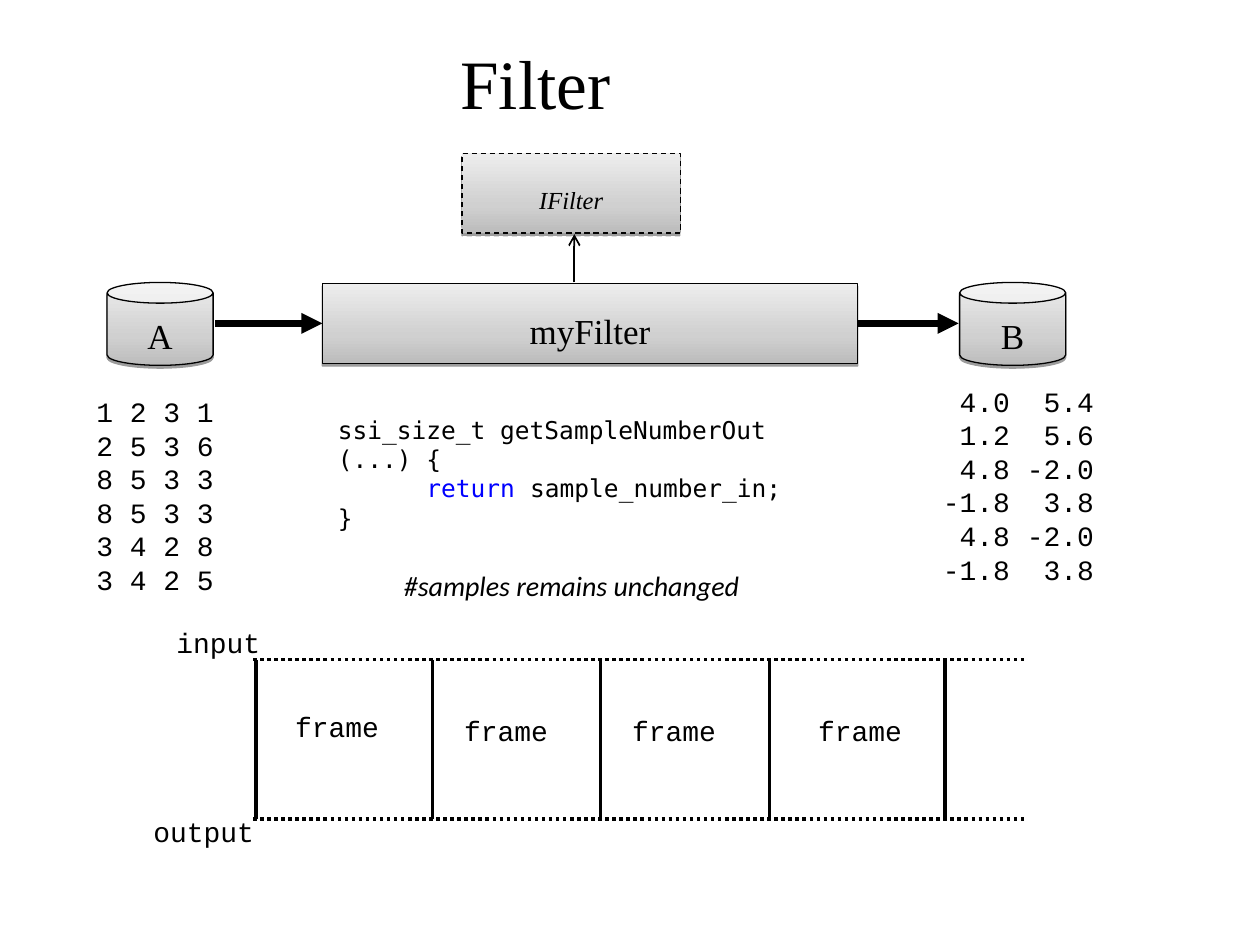
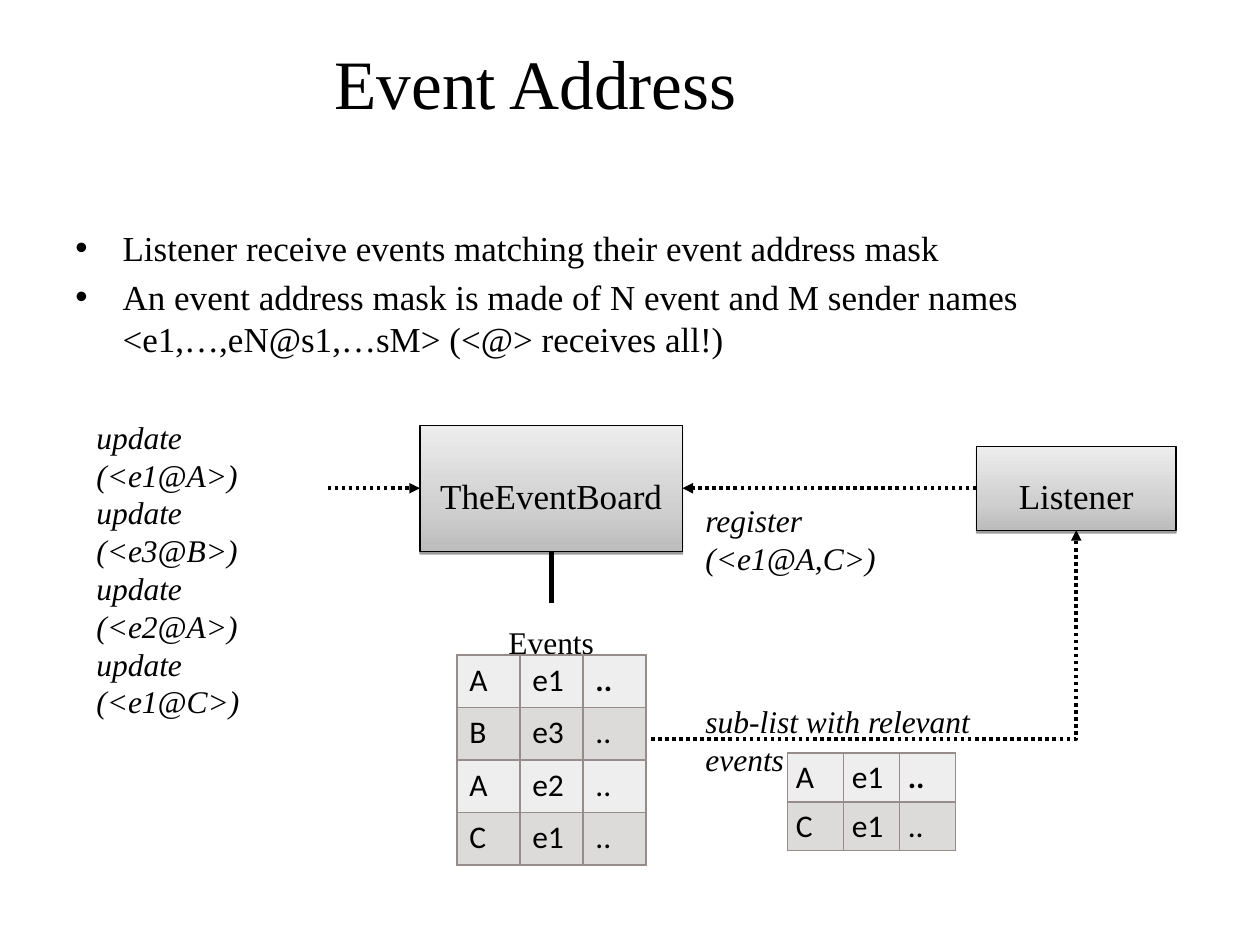
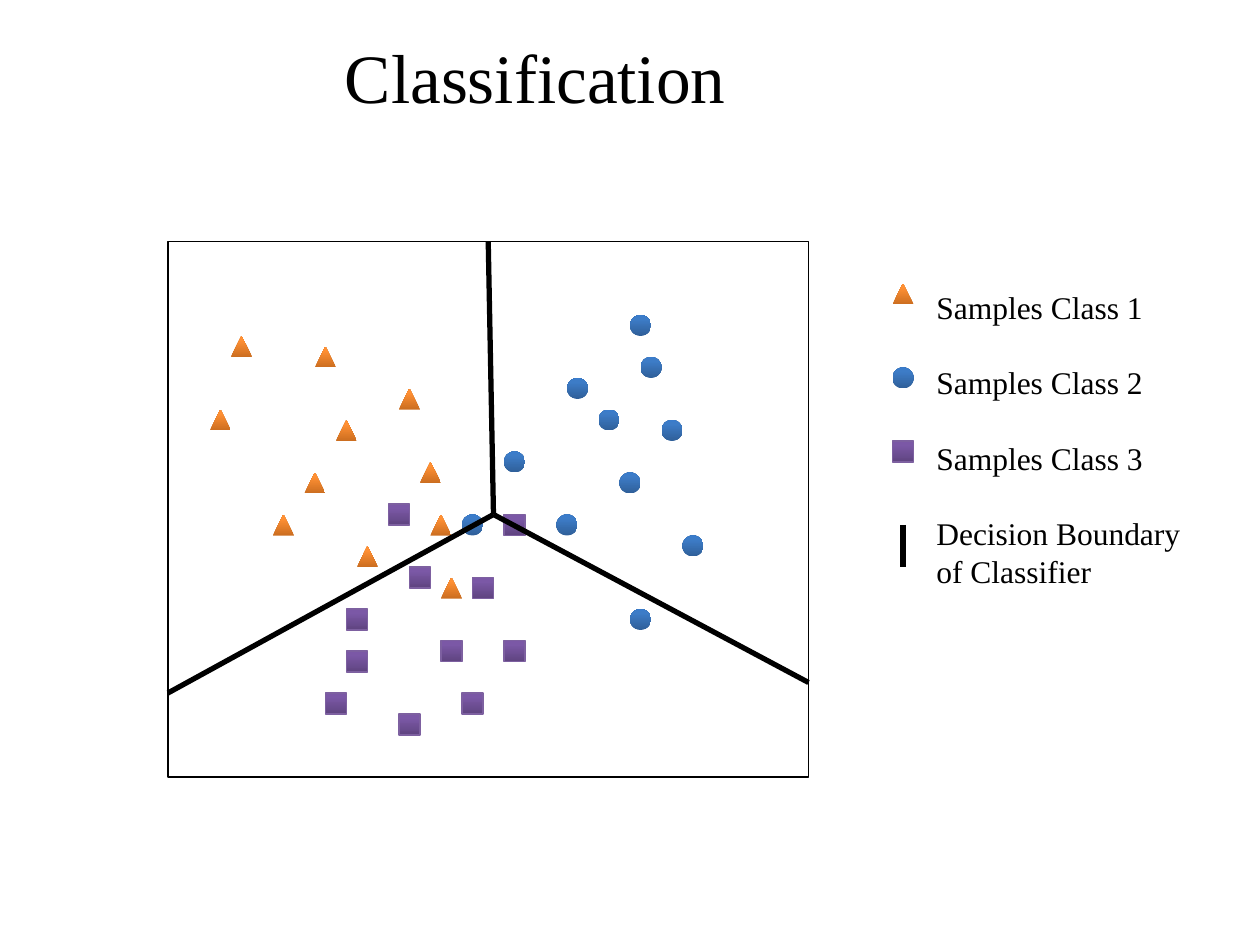
"""Builds three slides on filters, event addresses and classification."""
from copy import deepcopy
from dataclasses import dataclass
from typing import NamedTuple, Optional, Sequence

from lxml import etree
from pptx import Presentation
from pptx.dml.color import RGBColor
from pptx.enum.dml import MSO_LINE
from pptx.enum.shapes import MSO_CONNECTOR, MSO_SHAPE
from pptx.enum.text import MSO_ANCHOR, MSO_AUTO_SIZE, PP_ALIGN
from pptx.oxml.ns import qn
from pptx.util import Emu, Pt

PX = 7620
BLACK = RGBColor(0x00, 0x00, 0x00)
KEYWORD_BLUE = RGBColor(0x00, 0x00, 0xFF)
GRID_GREY = RGBColor(0x96, 0x8C, 0x8C)
ROW_FILLS = (RGBColor(0xEF, 0xEE, 0xEE), RGBColor(0xDD, 0xDA, 0xDA))
PURPLE_EDGE = RGBColor(0x7D, 0x60, 0xA0)

RECTANGLE, CAN = MSO_SHAPE.RECTANGLE, MSO_SHAPE.CAN
TRIANGLE, OVAL = MSO_SHAPE.ISOSCELES_TRIANGLE, MSO_SHAPE.OVAL
ROUNDED = MSO_SHAPE.ROUNDED_RECTANGLE
STRAIGHT, ELBOW = MSO_CONNECTOR.STRAIGHT, MSO_CONNECTOR.ELBOW
DOTTED, DASHED = MSO_LINE.ROUND_DOT, MSO_LINE.DASH
LEFT, CENTER = PP_ALIGN.LEFT, PP_ALIGN.CENTER
TOP, MIDDLE = MSO_ANCHOR.TOP, MSO_ANCHOR.MIDDLE
FIXED = MSO_AUTO_SIZE.NONE
SIDE_TOP, SIDE_LEFT, SIDE_BOTTOM, SIDE_RIGHT = range(4)

LINE_HEIGHT = 1.2
PLAIN_INSETS = (12, 6, 12, 6)
LOW_INSETS = (12, 19, 12, 6)
TIGHT_INSETS = (8, 5, 8, 5)
MARKER_SIZE = 20


class Box(NamedTuple):
    left: int
    top: int
    width: int
    height: int


class Point(NamedTuple):
    x: int
    y: int


class Joint(NamedTuple):
    shape: object
    side: int


class Stop(NamedTuple):
    position: float
    color: RGBColor


@dataclass(frozen=True)
class TextStyle:
    size: float
    font: str = "Times New Roman"
    italic: bool = False
    align: PP_ALIGN = LEFT
    anchor: MSO_ANCHOR = TOP
    insets: Sequence[int] = PLAIN_INSETS
    wrap: bool = True
    gap: float = 0


@dataclass(frozen=True)
class Stroke:
    width: float
    dash: Optional[MSO_LINE] = None
    head: Optional[str] = None


@dataclass(frozen=True)
class SampleClass:
    label: str
    outline: MSO_SHAPE
    stops: Sequence[Stop]
    edge: Optional[RGBColor]
    key: Point
    samples: Sequence[Point]


GREY_STOPS = (
    Stop(0, RGBColor(0xBC, 0xBC, 0xBC)),
    Stop(0.35, RGBColor(0xD0, 0xD0, 0xD0)),
    Stop(1, RGBColor(0xED, 0xED, 0xED)),
)
ORANGE_STOPS = (
    Stop(0, RGBColor(0xCC, 0x6E, 0x20)),
    Stop(0.8, RGBColor(0xFF, 0x90, 0x34)),
    Stop(1, RGBColor(0xFF, 0x91, 0x36)),
)
BLUE_STOPS = (
    Stop(0, RGBColor(0x2F, 0x5F, 0x99)),
    Stop(0.8, RGBColor(0x3D, 0x7C, 0xC7)),
    Stop(1, RGBColor(0x3A, 0x7C, 0xCB)),
)
PURPLE_STOPS = (
    Stop(0, RGBColor(0x5F, 0x44, 0x80)),
    Stop(0.8, RGBColor(0x7B, 0x58, 0xA6)),
    Stop(1, RGBColor(0x7C, 0x57, 0xA8)),
)

TITLE = TextStyle(39.6, align=CENTER, anchor=MIDDLE)
NODE = TextStyle(20, align=CENTER, anchor=MIDDLE, insets=LOW_INSETS, wrap=False)
INTERFACE = TextStyle(14, italic=True, align=CENTER, anchor=MIDDLE,
                      insets=LOW_INSETS, wrap=False)
CODE = TextStyle(14, "DejaVu Sans Mono")
REMARK = TextStyle(16, "Calibri", italic=True, wrap=False)
NUMBERS = TextStyle(16, "Courier New")
FRAME_LABEL = TextStyle(16, "Courier New", align=CENTER, wrap=False)
BULLETS = TextStyle(20, gap=4)
CAPTION = TextStyle(18, align=CENTER, insets=LOW_INSETS)
MESSAGE = TextStyle(18, italic=True, insets=LOW_INSETS)
LEGEND = TextStyle(18, wrap=False, gap=18 * LINE_HEIGHT)

FLOW = Stroke(4, head="triangle")
INHERIT = Stroke(1, head="arrow")
FRAME_EDGE = Stroke(2)
TIMELINE = Stroke(2, DOTTED)
EVENT_FLOW = Stroke(2, DOTTED, "triangle")
BOUNDARY = Stroke(3)

SAMPLE_CLASSES = (
    SampleClass("Samples Class 1", TRIANGLE, ORANGE_STOPS, None, Point(850, 270), (
        Point(220, 320), Point(300, 330), Point(200, 390), Point(260, 490),
        Point(320, 400), Point(290, 450), Point(380, 370), Point(340, 520),
        Point(400, 440), Point(410, 490), Point(420, 550))),
    SampleClass("Samples Class 2", OVAL, BLUE_STOPS, None, Point(850, 350), (
        Point(600, 300), Point(570, 390), Point(610, 340), Point(590, 450),
        Point(630, 400), Point(480, 430), Point(530, 490), Point(650, 510),
        Point(600, 580), Point(540, 360), Point(440, 490))),
    SampleClass("Samples Class 3", RECTANGLE, PURPLE_STOPS, PURPLE_EDGE, Point(850, 420), (
        Point(450, 550), Point(380, 680), Point(420, 610), Point(440, 660),
        Point(480, 610), Point(480, 490), Point(310, 660), Point(330, 580),
        Point(390, 540), Point(330, 620), Point(370, 480))),
)


def emu(*lengths: int) -> list[Emu]:
    return [Emu(length * PX) for length in lengths]


def format_font(font, style: TextStyle) -> None:
    font.name, font.size, font.italic = style.font, Pt(style.size), style.italic
    font.color.rgb = BLACK


def write(frame, lines: Sequence[str], style: TextStyle) -> None:
    frame.auto_size = FIXED
    frame.word_wrap = style.wrap
    frame.vertical_anchor = style.anchor
    (frame.margin_left, frame.margin_top,
     frame.margin_right, frame.margin_bottom) = emu(*style.insets)
    for index, line in enumerate(lines):
        paragraph = frame.add_paragraph() if index else frame.paragraphs[0]
        paragraph.text = line
        paragraph.alignment = style.align
        paragraph.line_spacing = Pt(style.size * LINE_HEIGHT)
        paragraph.space_before = Pt(style.gap if index else 0)
        for run in paragraph.runs:
            format_font(run.font, style)


def add_text(slide, box: Box, lines: Sequence[str], style: TextStyle):
    frame = slide.shapes.add_textbox(*emu(*box)).text_frame
    write(frame, lines, style)
    return frame


def add_titled_slide(deck, title: str, top: int = 36):
    slide = deck.slides.add_slide(deck.slide_layouts[5])
    heading = slide.shapes.title
    heading.left, heading.top, heading.width, heading.height = emu(160, top, 700, 84)
    write(heading.text_frame, [title], TITLE)
    return slide


def add_gradient_shape(slide, outline: MSO_SHAPE, box: Box, stops: Sequence[Stop],
                       edge: Optional[RGBColor]):
    shape = slide.shapes.add_shape(outline, *emu(*box))
    shape.shadow.inherit = False
    shape.fill.gradient()
    shape.fill.gradient_angle = 90
    stop_list = shape._element.spPr.find(".//" + qn("a:gsLst"))
    stop_list.insert(1, deepcopy(stop_list[0]))
    for gradient_stop, stop in zip(shape.fill.gradient_stops, stops):
        gradient_stop.position = stop.position
        gradient_stop.color.rgb = stop.color
    if edge is None:
        shape.line.fill.background()
    else:
        shape.line.color.rgb = edge
        shape.line.width = Pt(0.75)
    return shape


def add_node(slide, outline: MSO_SHAPE, box: Box, label: str, style: TextStyle = NODE):
    node = add_gradient_shape(slide, outline, box, GREY_STOPS, BLACK)
    effects = node._element.spPr.find(qn("a:effectLst"))
    shadow = etree.SubElement(effects, qn("a:outerShdw"), blurRad="0",
                              dist=str(Pt(1.6)), dir="5400000", rotWithShape="0")
    tint = etree.SubElement(shadow, qn("a:srgbClr"), val=str(BLACK))
    etree.SubElement(tint, qn("a:alpha"), val="38000")
    write(node.text_frame, [label], style)
    return node


def add_line(slide, start: Point, end: Point, stroke: Stroke, begin: Optional[Joint] = None,
             finish: Optional[Joint] = None, kind: MSO_CONNECTOR = STRAIGHT) -> None:
    line = slide.shapes.add_connector(kind, *emu(*start, *end))
    if begin:
        line.begin_connect(*begin)
    if finish:
        line.end_connect(*finish)
    line.line.color.rgb = BLACK
    line.line.width = Pt(stroke.width)
    if stroke.dash:
        line.line.dash_style = stroke.dash
    properties = line._element.spPr
    if kind == ELBOW:
        properties.find(qn("a:prstGeom")).set("prst", "bentConnector2")
    if stroke.head:
        etree.SubElement(properties.find(qn("a:ln")), qn("a:tailEnd"), type=stroke.head)
    etree.SubElement(properties, qn("a:effectLst"))


def add_event_table(slide, box: Box, rows: Sequence[Sequence[str]],
                    insets: Sequence[int] = PLAIN_INSETS) -> None:
    table = slide.shapes.add_table(len(rows), len(rows[0]), *emu(*box)).table
    table.first_row = table.horz_banding = False
    for row_index, row in enumerate(rows):
        for column_index, value in enumerate(row):
            cell = table.cell(row_index, column_index)
            cell.text = value
            (cell.margin_left, cell.margin_top,
             cell.margin_right, cell.margin_bottom) = emu(*insets)
            font = cell.text_frame.paragraphs[0].runs[0].font
            format_font(font, TextStyle(18, "Calibri"))
            font.bold = row_index == 0 and value == ".."
            cell.fill.solid()
            cell.fill.fore_color.rgb = ROW_FILLS[row_index % 2]
            properties = cell._tc.get_or_add_tcPr()
            for order, side in enumerate(("a:lnL", "a:lnR", "a:lnT", "a:lnB")):
                border = etree.Element(qn(side), w=str(Pt(1)))
                paint = etree.SubElement(border, qn("a:solidFill"))
                etree.SubElement(paint, qn("a:srgbClr"), val=str(GRID_GREY))
                properties.insert(order, border)


def build_filter(deck) -> None:
    slide = add_titled_slide(deck, "Filter")
    add_node(slide, CAN, Box(102, 269, 101, 79), "A")
    add_node(slide, CAN, Box(914, 269, 101, 79), "B")
    my_filter = add_node(slide, RECTANGLE, Box(307, 270, 510, 76), "myFilter")
    interface = add_node(slide, RECTANGLE, Box(440, 146, 208, 76), "IFilter", INTERFACE)
    interface.line.dash_style = DASHED
    add_line(slide, Point(205, 308), Point(307, 308), FLOW,
             finish=Joint(my_filter, SIDE_LEFT))
    add_line(slide, Point(817, 308), Point(913, 308), FLOW,
             begin=Joint(my_filter, SIDE_RIGHT))
    add_line(slide, Point(547, 269), Point(547, 223), INHERIT)

    code = add_text(slide, Box(310, 389, 506, 154), (
        "ssi_size_t getSampleNumberOut (...) {",
        "      return sample_number_in;",
        "}"), CODE)
    body = code.paragraphs[1]
    keyword, rest = body.runs[0], body.add_run()
    keyword.text, rest.text = "      return ", "sample_number_in;"
    format_font(rest.font, CODE)
    keyword.font.color.rgb = KEYWORD_BLUE
    add_text(slide, Box(373, 536, 379, 44), ["#samples remains unchanged"], REMARK)

    samples_out = (("4.0", "5.4"), ("1.2", "5.6"), ("4.8", "-2.0"),
                   ("-1.8", "3.8"), ("4.8", "-2.0"), ("-1.8", "3.8"))
    output = add_text(slide, Box(886, 360, 197, 204),
                      [f"\t{first}\t{second}" for first, second in samples_out], NUMBERS)
    for paragraph in output.paragraphs:
        tabs = etree.SubElement(paragraph._p.get_or_add_pPr(), qn("a:tabLst"))
        for stop in emu(64, 144):
            etree.SubElement(tabs, qn("a:tab"), pos=str(stop), algn="r")
    add_text(slide, Box(80, 370, 149, 204), (
        "1 2 3 1", "2 5 3 6", "8 5 3 3", "8 5 3 3", "3 4 2 8", "3 4 2 5"), NUMBERS)

    for y in (628, 780):
        add_line(slide, Point(241, y), Point(978, y), TIMELINE)
    for x in (244, 412, 572, 733, 900):
        add_line(slide, Point(x, 629), Point(x, 780), FRAME_EDGE)
    add_text(slide, Box(156, 590, 104, 38), ["input"], FRAME_LABEL)
    add_text(slide, Box(134, 770, 120, 38), ["output"], FRAME_LABEL)
    for left, top in ((269, 670), (430, 674), (590, 674), (767, 674)):
        add_text(slide, Box(left, top, 104, 38), ["frame"], FRAME_LABEL)


def build_event_address(deck) -> None:
    slide = add_titled_slide(deck, "Event Address")
    rules = add_text(slide, Box(60, 210, 1080, 190), (
        "Listener receive events matching their event address mask",
        "An event address mask is made of N event and M sender names "
        "<e1,…,eN@s1,…sM> (<@> receives all!)"), BULLETS)
    indent = emu(45)[0]
    for paragraph in rules.paragraphs:
        properties = paragraph._p.get_or_add_pPr()
        properties.set("marL", str(indent))
        properties.set("indent", str(-indent))
        etree.SubElement(properties, qn("a:buFont"), typeface="Arial")
        etree.SubElement(properties, qn("a:buChar"), char="•")

    board = add_node(slide, RECTANGLE, Box(400, 405, 250, 120), "TheEventBoard")
    add_text(slide, Box(430, 574, 190, 260), ["Events"], CAPTION)
    add_line(slide, Point(525, 525), Point(525, 574), BOUNDARY,
             begin=Joint(board, SIDE_BOTTOM))
    add_event_table(slide, Box(435, 624, 180, 200), (
        ("A", "e1", ".."), ("B", "e3", ".."), ("A", "e2", ".."), ("C", "e1", "..")))
    listener = add_node(slide, RECTANGLE, Box(930, 425, 190, 80), "Listener")
    add_line(slide, Point(620, 704), Point(1025, 505), EVENT_FLOW,
             finish=Joint(listener, SIDE_BOTTOM), kind=ELBOW)
    add_line(slide, Point(930, 465), Point(650, 465), EVENT_FLOW,
             Joint(listener, SIDE_LEFT), Joint(board, SIDE_RIGHT))
    add_text(slide, Box(660, 458, 258, 61), ["register (<e1@A,C>)"], MESSAGE)
    add_text(slide, Box(80, 379, 233, 170),
             [f"update (<{event}>)" for event in ("e1@A", "e3@B", "e2@A", "e1@C")], MESSAGE)
    add_text(slide, Box(660, 650, 349, 61), ["sub-list with relevant events"], MESSAGE)
    add_event_table(slide, Box(750, 717, 160, 90),
                    (("A", "e1", ".."), ("C", "e1", "..")), TIGHT_INSETS)
    add_line(slide, Point(312, 465), Point(400, 465), EVENT_FLOW,
             finish=Joint(board, SIDE_LEFT))


def build_classification(deck) -> None:
    slide = add_titled_slide(deck, "Classification", top=30)
    plot = slide.shapes.add_shape(ROUNDED, *emu(160, 230, 610, 510))
    plot.adjustments[0] = 0
    plot.shadow.inherit = False
    plot.fill.background()
    plot.line.color.rgb = BLACK
    plot.line.width = Pt(0.75)
    for group in SAMPLE_CLASSES:
        for spot in (*group.samples, group.key):
            add_gradient_shape(slide, group.outline, Box(*spot, MARKER_SIZE, MARKER_SIZE),
                               group.stops, group.edge)
    add_text(slide, Box(880, 268, 259, 302), (
        *(group.label for group in SAMPLE_CLASSES),
        "Decision Boundary\nof Classifier"), LEGEND)
    meeting = Point(470, 490)
    for border_point in (Point(465, 230), Point(160, 660), Point(770, 650)):
        add_line(slide, meeting, border_point, BOUNDARY)
    add_line(slide, Point(860, 500), Point(860, 540), BOUNDARY)


def main() -> None:
    deck = Presentation()
    deck.slide_width, deck.slide_height = emu(1200, 900)
    build_filter(deck)
    build_event_address(deck)
    build_classification(deck)
    deck.save("out.pptx")


if __name__ == "__main__":
    main()
